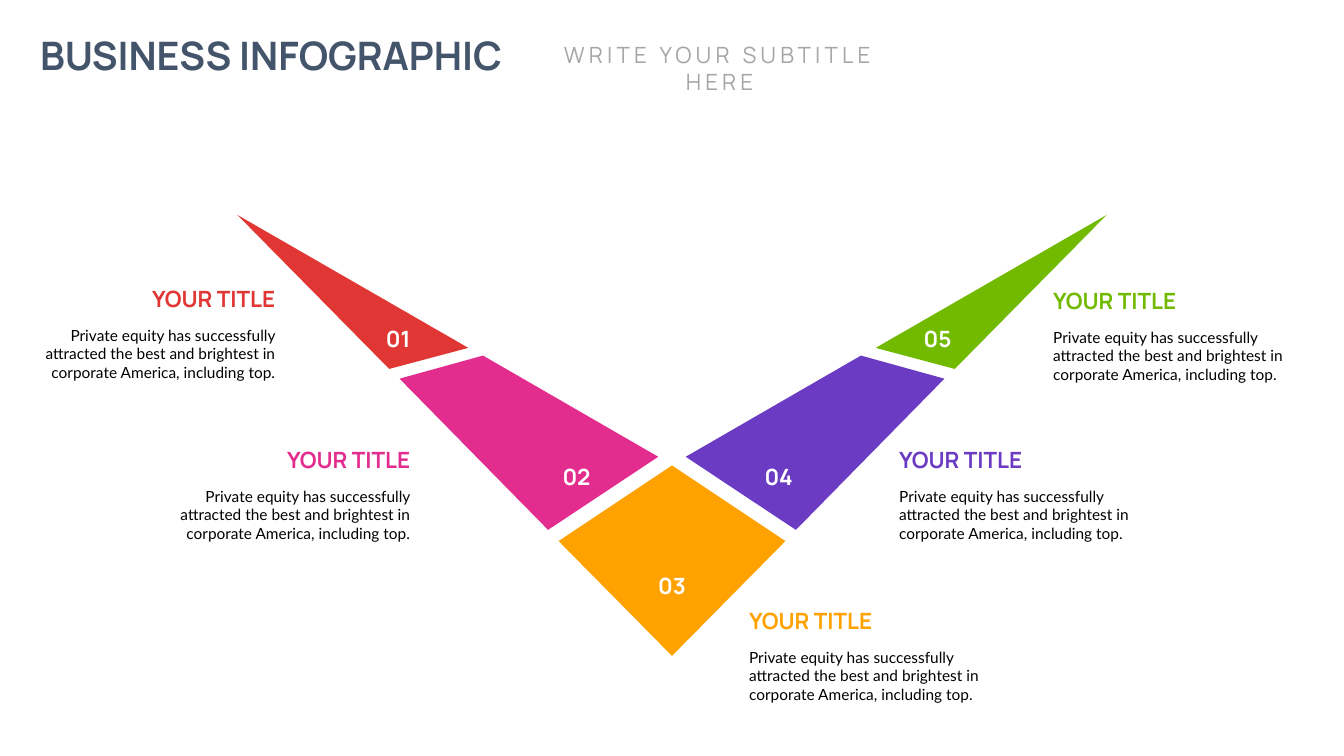
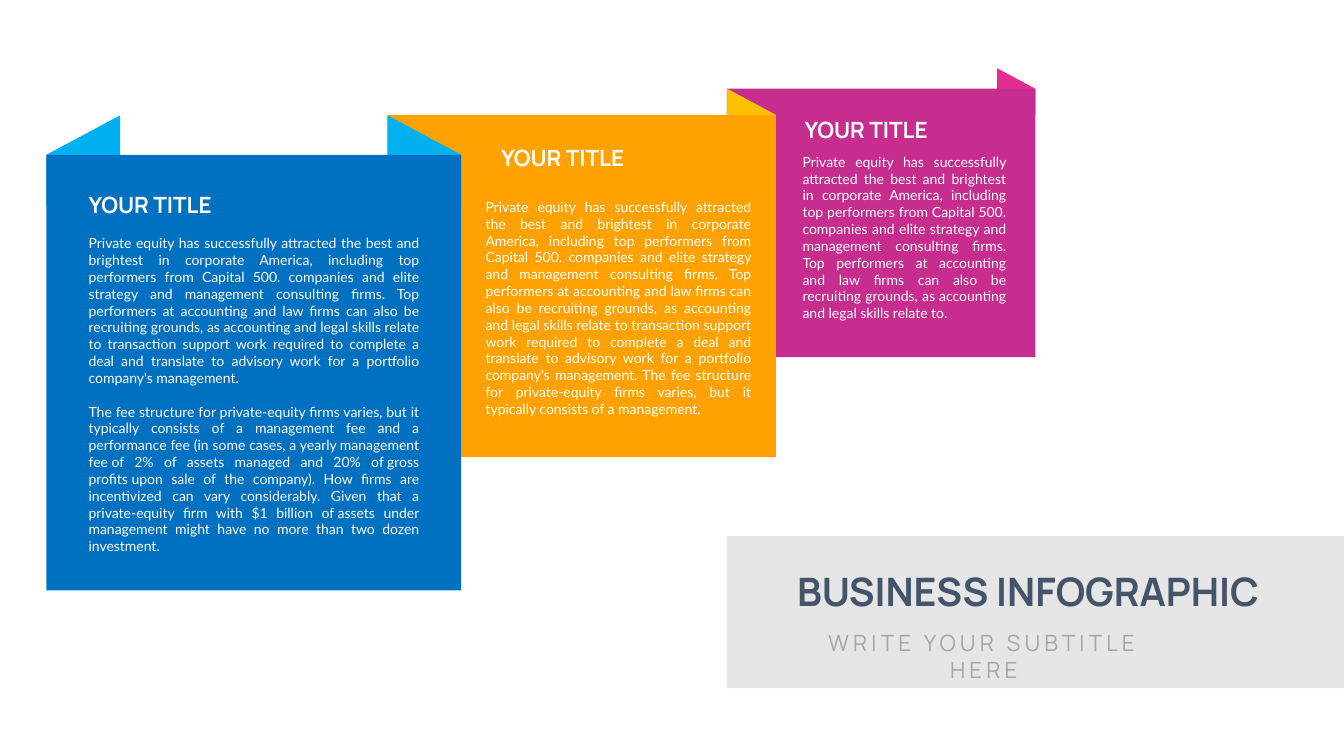
from pptx import Presentation
from pptx.dml.color import RGBColor
from pptx.enum.shapes import MSO_SHAPE as Preset
from pptx.enum.text import MSO_ANCHOR as Anchor, PP_ALIGN as Align
from pptx.util import Pt

COLORS = {
    "slate": "44546A", "gray": "A6A6A6", "band": "E7E6E6", "white": "FFFFFF",
    "black": "000000", "red": "E03734", "pink": "E32D8E", "orange": "FFA200",
    "violet": "6B3BC4", "green": "72BA00", "magenta": "C62D8E",
    "gold": "FFC000", "sky": "00B0F0", "blue": "0070C0",
}
TITLE_FONT, BODY_FONT = "Manrope", "Lato"
SLIDE_WIDTH, SLIDE_HEIGHT = 960, 540
LABEL_WIDTH, LABEL_HEIGHT = 103.7, 26.6

NBSP = chr(160)  # no-break space
EQUITY = ("Private equity has successfully attracted the best and brightest "
          "in corporate America, including top")
RECRUITING = (EQUITY + " performers from Capital 500. companies and elite strategy "
              "and management consulting firms. Top performers at accounting and law "
              "firms can also be recruiting grounds, as accounting and legal skills "
              "relate to")
ADVISORY = (RECRUITING + " transaction support work required to complete a deal and "
            "translate to advisory work for a portfolio company's management.")
FEES = "The fee structure for private-equity firms varies, but it typically consists of a "
FEE_DETAILS = (FEES + "management fee and a performance fee (in some cases, a "
               f"yearly{NBSP}management fee{NBSP}of 2% of assets managed and 20% "
               f"of{NBSP}gross profits{NBSP}upon sale of the company). How firms are "
               "incentivized can vary considerably. Given that a private-equity firm "
               f"with $1 billion of{NBSP}assets under management might have no more "
               "than two dozen investment.")


def paint(shape, color):
    shape.shadow.inherit = False
    shape.fill.solid()
    shape.fill.fore_color.rgb = RGBColor.from_string(COLORS[color])
    shape.line.fill.background()


def add_rectangle(slide, box, color):
    paint(slide.shapes.add_shape(Preset.RECTANGLE, *map(Pt, box)), color)


def add_polygon(slide, points, color):
    start, *others = [(Pt(x), Pt(y)) for x, y in points]
    builder = slide.shapes.build_freeform(*start)
    builder.add_line_segments(others, close=True)
    paint(builder.convert_to_shape(), color)


def add_text(slide, box, paragraphs, size, color, font=TITLE_FONT, bold=False,
             align=Align.LEFT, anchor=Anchor.TOP, wrap=False, tracking=0):
    """Place one text box; paragraphs after the first get 12 pt before them."""
    text_frame = slide.shapes.add_textbox(*map(Pt, box)).text_frame
    text_frame.word_wrap = wrap
    text_frame.vertical_anchor = anchor
    for index, text in enumerate(paragraphs):
        paragraph = text_frame.add_paragraph() if index else text_frame.paragraphs[0]
        paragraph.text = text
        paragraph.alignment = align
        if index:
            paragraph.space_before = Pt(12)
        for run in paragraph.runs:
            run.font.name, run.font.size, run.font.bold = font, Pt(size), bold
            run.font.color.rgb = RGBColor.from_string(COLORS[color])
            if tracking:
                run._r.get_or_add_rPr().set("spc", str(tracking * 100))


def add_heading(slide, left, top, subtitle_x, subtitle_y):
    """Place title and subtitle; the subtitle is offset from the title's corner."""
    add_text(slide, (left, top, 352.8, 41), ["BUSINESS INFOGRAPHIC"], 28, "slate",
             bold=True, align=Align.CENTER)
    add_text(slide, (left + subtitle_x, top + subtitle_y, 289.4, 26.6),
             ["WRITE YOUR SUBTITLE HERE"], 16, "gray", align=Align.CENTER,
             wrap=True, tracking=3)


def add_label(slide, left, top, color, align=Align.LEFT):
    add_text(slide, (left, top, LABEL_WIDTH, LABEL_HEIGHT), ["YOUR TITLE"], 16, color,
             bold=True, align=align, anchor=Anchor.MIDDLE)


def add_caption(slide, edge, top, color, align):
    """Place a label over its text; edge is the side that both are aligned to."""
    body_width = 194.4
    label_left, body_left = edge, edge
    if align == Align.RIGHT:
        label_left, body_left = edge - LABEL_WIDTH, edge - body_width
    add_label(slide, label_left, top, color, align)
    add_text(slide, (body_left, top + 29.2, body_width, 99.4), [EQUITY + "."], 11,
             "black", font=BODY_FONT, align=align, wrap=True)


def add_chevron(slide, center, top):
    """Draw the five-piece V, mirrored about center, with its numbers."""
    outer = [(-310.5, 0), (-202, 110), (-145.5, 95)]
    inner = [(-135, 100.5), (-194.6, 117), (-88.5, 225), (-9.8, 172.8)]
    tip = [(0, 179), (-81, 233), (0, 315), (81, 233)]
    pieces = [
        (outer, 1, "red", (-195.6, 88.5)),
        (inner, 1, "pink", (-68.2, 187)),
        (tip, 1, "orange", (0, 265)),
        (inner, -1, "violet", (76.2, 187)),
        (outer, -1, "green", (189.6, 88)),
    ]
    for number, (points, side, color, (x, y)) in enumerate(pieces, 1):
        add_polygon(slide, [(center + side * px, top + py) for px, py in points], color)
        add_text(slide, (center + x - 23, top + y - 18, 46, 36), [f"{number:02}"], 16,
                 "white", bold=True, align=Align.CENTER, anchor=Anchor.MIDDLE)


def add_fold(slide, corner, top, width, color):
    """Draw a ribbon flap behind a panel corner; a negative width runs leftwards."""
    rise, height = 0.536 * abs(width), 1.23 * abs(width)
    peak, bottom = corner + width, top - rise + height
    add_polygon(slide, [(corner, top), (peak, top - rise), (peak, bottom),
                        (corner, bottom)], color)


def add_panel(slide, box, color, fold_color, fold_width, label_at, body_box,
              paragraphs, left_fold=False):
    """Draw a folded panel; label_at and body_box are offsets from its corner."""
    left, top, width, _ = box
    if left_fold:
        add_fold(slide, left, top, fold_width, fold_color)
    add_fold(slide, left + width, top, -fold_width, fold_color)
    add_rectangle(slide, box, color)
    add_label(slide, left + label_at[0], top + label_at[1], "white")
    x, y, body_width, body_height = body_box
    add_text(slide, (left + x, top + y, body_width, body_height), paragraphs, 10,
             "white", font=BODY_FONT, align=Align.JUSTIFY, wrap=True)


def build_chevron_slide(slide):
    add_heading(slide, 17.3, 18.7, 352, 7.2)
    add_chevron(slide, SLIDE_WIDTH / 2, 153.5)
    for edge, top, color, align in [
        (203.8, 199.9, "red", Align.RIGHT),
        (300.2, 314.9, "pink", Align.RIGHT),
        (528, 430, "orange", Align.LEFT),
        (635.2, 314.9, "violet", Align.LEFT),
        (745.2, 201.4, "green", Align.LEFT),
    ]:
        add_caption(slide, edge, top, color, align)


def build_ribbon_slide(slide):
    band_left = 519.2
    add_rectangle(slide, (band_left, 383, SLIDE_WIDTH - band_left, 108.5), "band")
    add_heading(slide, 558, 401.8, 0, 44.4)
    add_panel(slide, (band_left, 63.4, 220.4, 191.8), "magenta", "pink", 27.4,
              (48.5, 15.8), (47, 42.5, 159.5, 140.4), [RECRUITING + "."])
    add_panel(slide, (277, 82, 277.2, 244.6), "orange", "gold", 35,
              (73.9, 17.3), (62.8, 56.2, 203.8, 164.9),
              [f"{ADVISORY} {FEES}management."])
    add_panel(slide, (33.2, 110.6, 296.2, 311.2), "blue", "sky", 52.6,
              (23, 22.2), (23, 53.6, 250.2, 237.6), [ADVISORY, FEE_DETAILS],
              left_fold=True)


def main():
    presentation = Presentation()
    presentation.slide_width, presentation.slide_height = Pt(SLIDE_WIDTH), Pt(SLIDE_HEIGHT)
    blank = presentation.slide_layouts[6]
    for build in (build_chevron_slide, build_ribbon_slide):
        build(presentation.slides.add_slide(blank))
    presentation.save("out.pptx")


if __name__ == "__main__":
    main()
